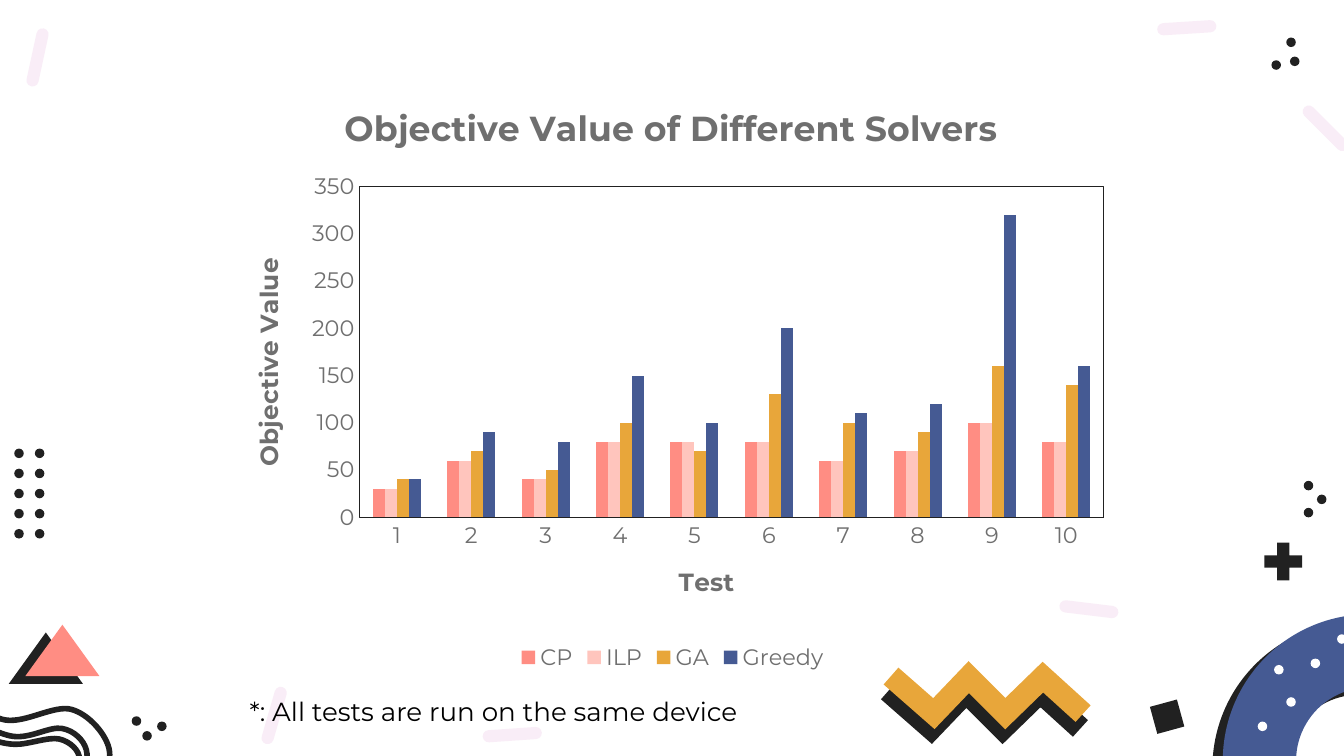
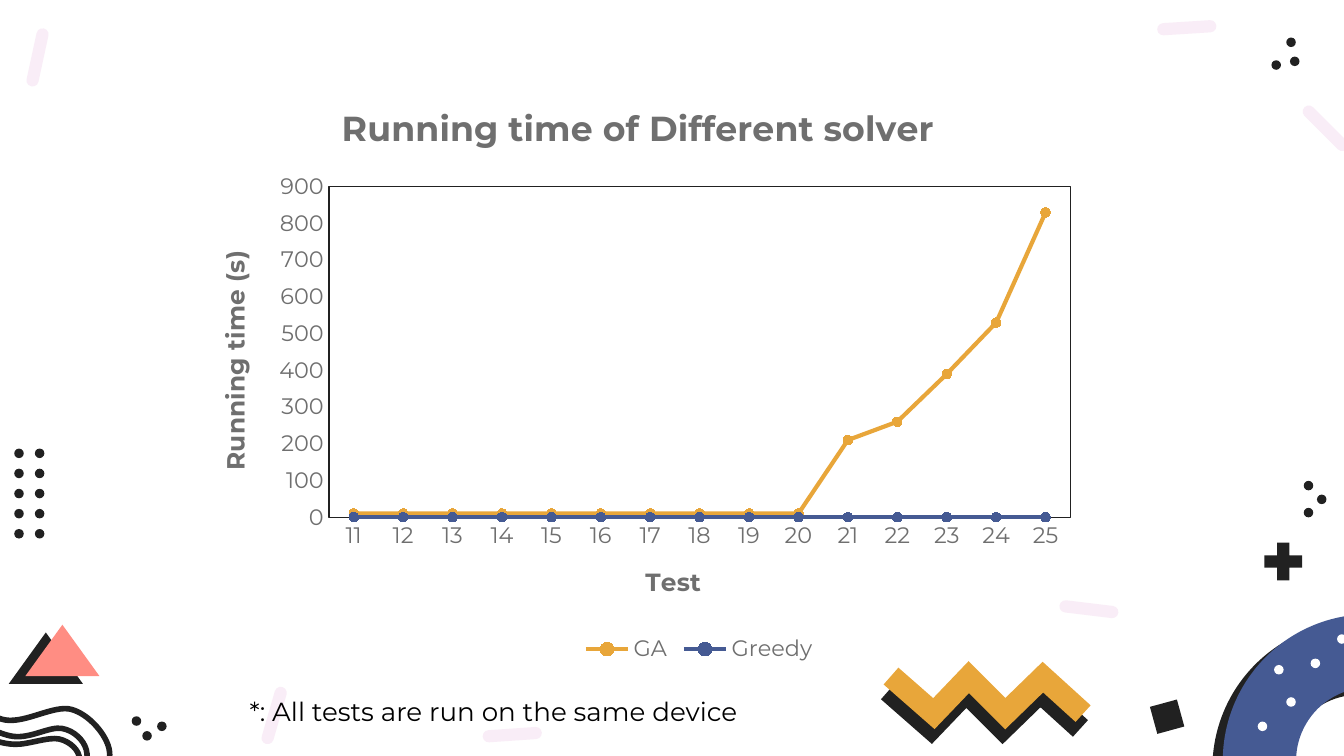
from lxml import etree
from pptx import Presentation
from pptx import util as u
from pptx.chart.data import CategoryChartData
from pptx.dml.color import RGBColor
from pptx.enum import chart as charts, shapes, text
from pptx.oxml import parse_xml
from pptx.oxml.ns import nsdecls, qn

DARK, GREY, WHITE, BLACK = "212121", "6F6F6F", "FFFFFF", "000000"
CORAL, PEACH, AMBER, BLUE, LILAC = "FF8D83", "FFC5BD", "E8A63A", "455A93", "F9EDF7"
FONT = "Montserrat"
DOT_SIZE = 0.18
PLOT_RIGHT = 98.1

WHITE_DOTS = [(23.77, 13.64), (24.31, 13.18), (24.08, 12.57), (24.77, 12.45), (25.27, 11.99)]
DARK_DOTS = [
    (24.64, 9.6), (24.64, 9.09), (24.89, 9.35),
    (2.49, 13.54), (2.97, 13.64), (2.69, 13.82),
    (24.03, 1.14), (24.31, 0.71), (24.38, 1.07),
] + [(left, 8.48 + 0.38 * row) for left in (0.27, 0.66) for row in range(5)]
DASHES = [
    (4.62, 13.41, 106.1), (9.12, 13.77, 176.1), (20.02, 11.4, 6.9),
    (24.49, 2.31, 45), (0.15, 0.97, 282.2), (21.87, 0.41, 356.4),
]
WAVES = [
    [(0.69, 15.54), (1.73, 15.09), (2.06, 14.15), (1.35, 13.41), (0.1, 13.61),
     (-0.97, 13.03), (-1.83, 13.18), (-2.24, 14.1), (-1.83, 15.09), (-0.71, 15.6)],
    [(0.71, 15.24), (1.47, 14.86), (1.63, 14.17), (1.17, 13.77), (0.25, 13.92),
     (-0.81, 13.51), (-1.45, 13.54), (-1.73, 14.17), (-1.4, 14.86), (-0.46, 15.24)],
    [(-0.2, 15.14), (1.09, 14.96), (1.5, 14.35), (1.12, 13.97), (0.28, 14.07),
     (-0.38, 13.92), (-1.04, 13.72), (-1.42, 13.94), (-1.5, 14.43), (-1.09, 14.86)],
]
ZIGZAG = [(20.42, 13.77), (19.66, 13.08), (18.95, 13.77),
          (18.26, 13.08), (17.6, 13.77), (16.79, 13.06)]


def color(value):
    """Return the colour for a hex string."""
    return RGBColor.from_string(value)


def smooth(shape):
    """Turn the straight sides of a closed freeform into flowing curves."""
    sides = list(shape._element.iter(qn("a:lnTo")))
    anchors = [(int(side[0].get("x")), int(side[0].get("y"))) for side in sides]
    count = len(anchors)
    for index, side in enumerate(sides):
        before, start, end, after = (
            anchors[(index + shift) % count] for shift in (-2, -1, 0, 1))
        first = [s + (e - b) / 6 for b, s, e in zip(before, start, end)]
        second = [e - (a - s) / 6 for s, e, a in zip(start, end, after)]
        curve = etree.Element(qn("a:cubicBezTo"))
        for x, y in (first, second, end):
            etree.SubElement(curve, qn("a:pt"), x=str(round(x)), y=str(round(y)))
        side.getparent().replace(side, curve)


def place(element, index, **percents):
    """Give a chart part a manual layout in percent of the chart."""
    for old in element.findall(qn("c:layout")):
        element.remove(old)
    inner = '<c:layoutTarget val="inner"/>' if element.tag == qn("c:plotArea") else ""
    modes = "".join(f'<c:{key}Mode val="edge"/>' for key in "xy")
    values = "".join(f'<c:{key} val="{value / 100:.4f}"/>' for key, value in percents.items())
    element.insert(index, parse_xml(
        f'<c:layout {nsdecls("c")}><c:manualLayout>{inner}{modes}{values}'
        '</c:manualLayout></c:layout>'))


class Deck:
    """Hold the style, the presentation and the current slide."""

    def __init__(self):
        """Start a wide presentation with a decorated blank layout."""
        self.presentation = Presentation()
        self.presentation.slide_width = u.Cm(25.4)
        self.presentation.slide_height = u.Cm(14.29)
        self.layout = self.presentation.slide_layouts[6]
        self.new_slide()
        self.decorate()

    def new_slide(self):
        """Add a slide on the blank layout."""
        self.slide = self.presentation.slides.add_slide(self.layout)

    def decorate(self):
        """Draw the decoration as one group and hand it to the layout."""
        for placeholder in list(self.layout.placeholders):
            placeholder._element.getparent().remove(placeholder._element)
        group = self.slide.shapes.add_group_shape()
        self.canvas = group.shapes
        kinds = shapes.MSO_SHAPE
        donut = self.shape(kinds.DONUT, 23.11, 11.61, 5.54, 5.54, BLUE, adjustment=0.25)
        self.hard_shadow(donut, 6.8, 145)
        for left, top in WHITE_DOTS:
            self.shape(kinds.OVAL, left, top, DOT_SIZE, DOT_SIZE, WHITE)
        for wave in WAVES:
            smooth(self.outline(wave + wave[:1], DARK, 3, close=True))
        triangle = self.shape(kinds.ISOSCELES_TRIANGLE, 0.48, 11.81, 1.4, 0.97, CORAL)
        self.hard_shadow(triangle, 9.8, 155)
        self.shape(kinds.MATH_PLUS, 23.77, 10.13, 0.97, 0.97, DARK, adjustment=0.24)
        self.shape(kinds.RECTANGLE, 21.79, 13.28, 0.53, 0.53, DARK, rotation=164.7)
        for left, top in DARK_DOTS:
            self.shape(kinds.OVAL, left, top, DOT_SIZE, DOT_SIZE, DARK)
        for left, top, rotation in DASHES:
            self.shape(kinds.ROUNDED_RECTANGLE, left, top, 1.12, 0.23, LILAC, rotation, 0.5)
        self.outline(ZIGZAG, DARK, 12)
        self.outline([(x + 0.05, y - 0.28) for x, y in ZIGZAG], AMBER, 12)
        self.layout.shapes._spTree.append(group._element)

    def shape(self, kind, left, top, width, height, fill, rotation=0, adjustment=None):
        """Add a filled preset shape without a line."""
        shape = self.canvas.add_shape(
            kind, u.Cm(left), u.Cm(top), u.Cm(width), u.Cm(height))
        shape.shadow.inherit = False
        shape.fill.solid()
        shape.fill.fore_color.rgb = color(fill)
        shape.line.fill.background()
        shape.rotation = rotation
        if adjustment is not None:
            shape.adjustments[0] = adjustment
        return shape

    def hard_shadow(self, shape, distance, angle):
        """Give a shape an unblurred dark shadow."""
        effects = shape._element.spPr.find(qn("a:effectLst"))
        shadow = etree.SubElement(
            effects, qn("a:outerShdw"), blurRad="0", dist=str(u.Pt(distance)),
            dir=str(angle * 60000), algn="bl", rotWithShape="0")
        etree.SubElement(shadow, qn("a:srgbClr"), val=DARK)

    def outline(self, points, line, width, close=False):
        """Add an unfilled freeform with sharp corners."""
        points = [(u.Cm(x), u.Cm(y)) for x, y in points]
        builder = self.canvas.build_freeform(*points[0])
        builder.add_line_segments(points[1:], close=close)
        shape = builder.convert_to_shape()
        shape.shadow.inherit = False
        shape.fill.background()
        shape.line.color.rgb = color(line)
        shape.line.width = u.Pt(width)
        etree.SubElement(shape.line._get_or_add_ln(), qn("a:miter"), lim="800000")
        return shape

    def font(self, font, size, fill=GREY, bold=False):
        """Apply the house font."""
        font.name = FONT
        font.size = u.Pt(size)
        font.bold = bold
        font.color.rgb = color(fill)

    def note(self, content):
        """Add the footnote under the chart."""
        box = self.slide.shapes.add_textbox(u.Cm(4.47), u.Cm(13.02), u.Cm(11.33), u.Cm(0.86))
        frame = box.text_frame
        frame.word_wrap = True
        frame.auto_size = text.MSO_AUTO_SIZE.SHAPE_TO_FIT_TEXT
        frame.text = content
        self.font(frame.paragraphs[0].runs[0].font, 14, BLACK)

    def title(self, title, content, size, x, y):
        """Write and place a chart or axis title."""
        title.text_frame.text = content
        self.font(title.text_frame.paragraphs[0].runs[0].font, size, bold=True)
        place(title._element, 1, x=x, y=y)

    def axis(self, axis, content, x, y):
        """Style an axis and its title."""
        axis.has_major_gridlines = False
        axis.major_tick_mark = axis.minor_tick_mark = charts.XL_TICK_MARK.NONE
        self.font(axis.tick_labels.font, 12)
        self.title(axis.axis_title, content, 13.3, x, y)

    def chart(self, kind, left, categories, series, title, title_x, value_title, value_y,
              maximum, step, plot_x):
        """Add a chart with titles, framed plot and bottom legend."""
        data = CategoryChartData()
        data.categories = categories
        for name, values, _ in series:
            data.add_series(name, values)
        chart = self.slide.shapes.add_chart(
            kind, u.Cm(left), u.Cm(1.5), u.Cm(16.94), u.Cm(11.28), data).chart
        chart.font.name = "Arial"
        chart.font.size = u.Pt(10)
        chart.font.color.rgb = color(DARK)
        chart.has_title = True
        self.title(chart.chart_title, title, 18.6, title_x, 3)
        self.axis(chart.category_axis, "Test", 50.2, 80.6)
        chart.category_axis.format.line.color.rgb = color(DARK)
        chart.category_axis.format.line.width = u.Pt(0.75)
        value_axis = chart.value_axis
        self.axis(value_axis, value_title, 2.5, value_y)
        body = value_axis.axis_title._element.find(".//" + qn("a:bodyPr"))
        body.set("rot", "-5400000")
        body.set("vert", "horz")
        value_axis.format.line.fill.background()
        value_axis.minimum_scale = 0
        value_axis.maximum_scale = maximum
        value_axis.major_unit = step
        chart.has_legend = True
        chart.legend.position = charts.XL_LEGEND_POSITION.BOTTOM
        chart.legend.include_in_layout = False
        self.font(chart.legend.font, 12)
        plot_area = chart._chartSpace.find(".//" + qn("c:plotArea"))
        place(plot_area, 0, x=plot_x, y=18, w=PLOT_RIGHT - plot_x, h=55.4)
        plot_area.append(parse_xml(
            f'<c:spPr {nsdecls("c", "a")}><a:noFill/><a:ln w="{u.Pt(0.75)}"><a:solidFill>'
            f'<a:srgbClr val="{DARK}"/></a:solidFill></a:ln></c:spPr>'))
        chart.plots[0].vary_by_categories = False
        for item, (_, _, fill) in zip(chart.plots[0].series, series):
            self.series(item, fill, kind)
        return chart

    def series(self, series, fill, kind):
        """Colour one series as columns or as a marked line."""
        target = series
        if kind == charts.XL_CHART_TYPE.LINE_MARKERS:
            series.smooth = False
            series.format.line.color.rgb = color(fill)
            series.format.line.width = u.Pt(2.25)
            target = series.marker
            target.style = charts.XL_MARKER_STYLE.CIRCLE
            target.size = 5
            target.format.line.color.rgb = color(fill)
        target.format.fill.solid()
        target.format.fill.fore_color.rgb = color(fill)


def main():
    """Build both slides."""
    deck = Deck()
    remark = "*: All tests are run on the same device"

    exact = [30, 60, 40, 80, 80, 80, 60, 70, 100, 80]
    chart = deck.chart(
        charts.XL_CHART_TYPE.COLUMN_CLUSTERED, 4.24, [str(test) for test in range(1, 11)],
        [("CP", exact, CORAL), ("ILP", exact, PEACH),
         ("GA", [40, 70, 50, 100, 70, 130, 100, 90, 160, 140], AMBER),
         ("Greedy", [40, 90, 80, 150, 100, 200, 110, 120, 320, 160], BLUE)],
        "Objective Value of Different Solvers", 12.7, "Objective Value", 29.2, 350, 50, 15.1)
    chart.plots[0].gap_width = 219
    chart.plots[0].overlap = 0
    deck.note(remark)

    deck.new_slide()
    chart = deck.chart(
        charts.XL_CHART_TYPE.LINE_MARKERS, 3.61, [str(test) for test in range(11, 26)],
        [("GA", [10] * 10 + [210, 260, 390, 530, 830], AMBER), ("Greedy", [0] * 15, BLUE)],
        "Running time of Different solver", 16.1, "Running time (s)", 28, 900, 100, 15.4)
    place(chart.legend._element, 1, x=43, y=92, w=27.4, h=7)
    deck.note(remark)

    deck.presentation.save("out.pptx")


if __name__ == "__main__":
    main()
